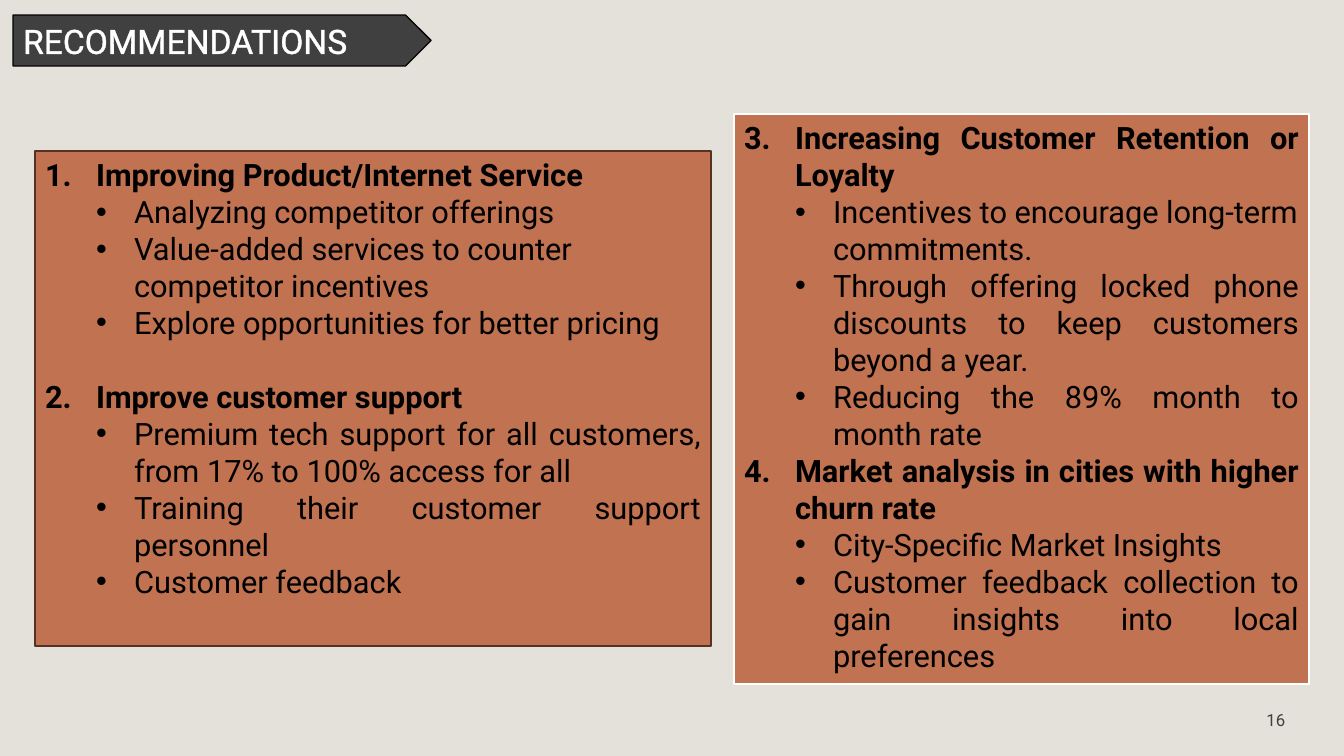
from lxml import etree
from pptx import Presentation
from pptx.dml.color import RGBColor
from pptx.enum.shapes import MSO_SHAPE
from pptx.enum.text import MSO_ANCHOR, MSO_AUTO_SIZE, PP_ALIGN
from pptx.oxml.ns import qn
from pptx.util import Pt

LEFT, CENTER, JUSTIFY = PP_ALIGN.LEFT, PP_ALIGN.CENTER, PP_ALIGN.JUSTIFY
TOP, MIDDLE = MSO_ANCHOR.TOP, MSO_ANCHOR.MIDDLE

TITLE = "RECOMMENDATIONS"
PAGE_NUMBER = "16"

# Each recommendation: number, heading, space before in points, (action, alignment) pairs
SERVICE_AND_SUPPORT = [
    (1, "Improving Product/Internet Service", 0, [
        ("Analyzing competitor offerings", JUSTIFY),
        ("Value-added services to counter competitor incentives", LEFT),
        ("Explore opportunities for better pricing", LEFT),
    ]),
    (2, "Improve customer support", 26.4, [
        ("Premium tech support for all customers, from 17% to 100% access for all", JUSTIFY),
        ("Training their customer support personnel", JUSTIFY),
        ("Customer feedback", JUSTIFY),
    ]),
]
RETENTION_AND_MARKET = [
    (3, "Increasing Customer Retention or Loyalty", 0, [
        ("Incentives to encourage long-term commitments.", LEFT),
        ("Through offering locked phone discounts to keep customers beyond a year.", JUSTIFY),
        ("Reducing the 89% month to month rate", JUSTIFY),
    ]),
    (4, "Market analysis in cities with higher churn rate", 0, [
        ("City-Specific Market Insights", JUSTIFY),
        ("Customer feedback collection to gain insights into local preferences", JUSTIFY),
    ]),
]

COLORS = {
    "background": "E4E1DB",
    "banner": "404040",
    "banner_line": "010101",
    "panel": "C17250",
    "left_line": "553223",
    "white": "FFFFFF",
    "text": "000000",
    "page_number": "404040",
}
FONT = "Roboto"
EMU_PER_PX = 914400 / 100.8

# left, top, width, height in px
BANNER = (13, 15, 418, 51)
LEFT_PANEL = (35, 151, 676, 495)
RIGHT_PANEL = (734, 114, 575, 570)
PAGE_NUMBER_BOX = (1252, 706, 48, 27)
HEADING_INDENT, ACTION_INDENT, ACTION_HANG = 51, 89, 38


def px(length):
    return round(length * EMU_PER_PX)


def rgb(name):
    return RGBColor.from_string(COLORS[name])


def place(shape, box):
    shape.left, shape.top, shape.width, shape.height = map(px, box)


def paint(shape, fill, line, line_width):
    shape.fill.solid()
    shape.fill.fore_color.rgb = rgb(fill)
    shape.line.color.rgb = rgb(line)
    shape.line.width = Pt(line_width)


def prepare_frame(shape, anchor):
    frame = shape.text_frame
    frame.word_wrap = True
    frame.auto_size = MSO_AUTO_SIZE.NONE
    frame.vertical_anchor = anchor
    return frame


def write(paragraph, text, size=22, color="text", bold=False, align=JUSTIFY, before=0):
    paragraph.alignment = align
    paragraph.line_spacing = 1.0
    paragraph.space_before = Pt(before)
    paragraph.space_after = Pt(0)
    run = paragraph.add_run()
    run.text = text
    run.font.name = FONT
    run.font.size = Pt(size)
    run.font.bold = bold
    run.font.color.rgb = rgb(color)
    return run


def mark(paragraph, indent, hang, number=None):
    """Give the paragraph a hanging number, or a bullet when there is none."""
    properties = paragraph._p.get_or_add_pPr()
    properties.set("marL", str(px(indent)))
    properties.set("indent", str(-px(hang)))
    if number is None:
        etree.SubElement(properties, qn("a:buFont"), typeface="Arial")
        etree.SubElement(properties, qn("a:buChar"), char="•")
    else:
        etree.SubElement(properties, qn("a:buFont"), typeface="+mj-lt")
        etree.SubElement(properties, qn("a:buAutoNum"),
                         type="arabicPeriod", startAt=str(number))


def outline(run, color, width):
    line = etree.Element(qn("a:ln"), w=str(Pt(width)))
    fill = etree.SubElement(line, qn("a:solidFill"))
    etree.SubElement(fill, qn("a:srgbClr"), val=COLORS[color])
    run.font._element.insert(0, line)


def fill_panel(panel, box, recommendations, line, line_width):
    place(panel, box)
    paint(panel, "panel", line, line_width)
    frame = prepare_frame(panel, TOP)
    paragraph = frame.paragraphs[0]
    for number, heading, before, actions in recommendations:
        if paragraph.runs:
            paragraph = frame.add_paragraph()
        write(paragraph, heading, bold=True, before=before)
        mark(paragraph, HEADING_INDENT, HEADING_INDENT, number)
        for action, align in actions:
            paragraph = frame.add_paragraph()
            paragraph.level = 1
            write(paragraph, action, align=align)
            mark(paragraph, ACTION_INDENT, ACTION_HANG)


def main():
    deck = Presentation()
    deck.slide_width, deck.slide_height = px(1344), px(756)
    two_content = deck.slide_layouts[3]
    slide = deck.slides.add_slide(two_content)
    slide.background.fill.solid()
    slide.background.fill.fore_color.rgb = rgb("background")
    title, left_panel, right_panel = slide.placeholders

    banner = slide.shapes.add_shape(MSO_SHAPE.PENTAGON, *map(px, BANNER))
    banner.shadow.inherit = False
    paint(banner, "banner", "banner_line", 1)
    title._element.addprevious(banner._element)

    place(title, BANNER)
    title_frame = prepare_frame(title, MIDDLE)
    title_run = write(title_frame.paragraphs[0], TITLE, size=24, color="white", align=LEFT)
    outline(title_run, "white", 0.75)

    fill_panel(left_panel, LEFT_PANEL, SERVICE_AND_SUPPORT, "left_line", 1)
    fill_panel(right_panel, RIGHT_PANEL, RETENTION_AND_MARKET, "white", 1.5)

    page_number = slide.shapes.add_textbox(*map(px, PAGE_NUMBER_BOX))
    number_frame = prepare_frame(page_number, MIDDLE)
    write(number_frame.paragraphs[0], PAGE_NUMBER, size=12, color="page_number", align=CENTER)

    deck.save("out.pptx")


if __name__ == "__main__":
    main()
